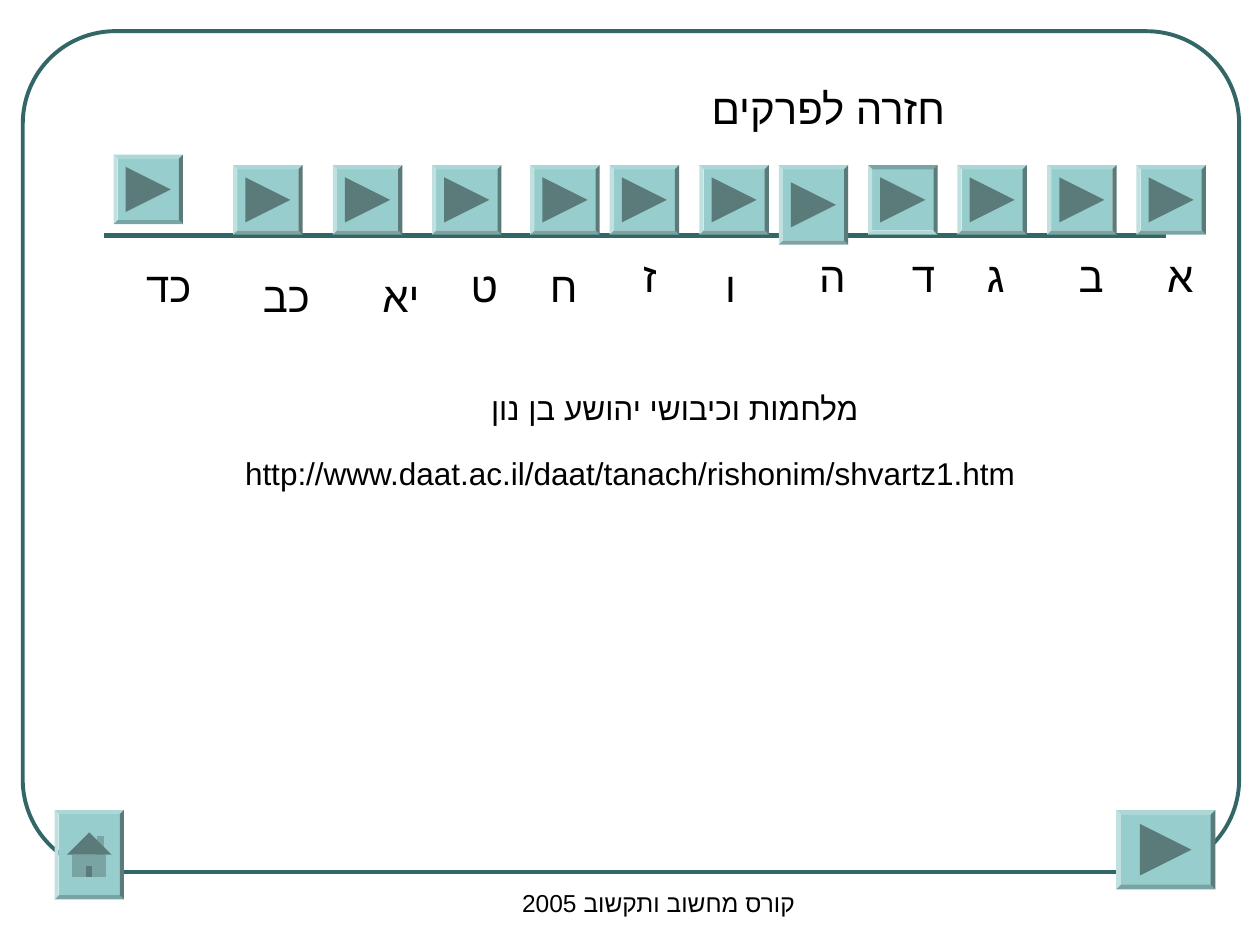
from lxml import etree
from pptx import Presentation
from pptx.dml.color import RGBColor
from pptx.enum.shapes import MSO_CONNECTOR, MSO_SHAPE
from pptx.enum.text import MSO_ANCHOR, PP_ALIGN
from pptx.oxml.ns import qn
from pptx.util import Cm, Pt

ROUNDED, BEVEL = MSO_SHAPE.ROUNDED_RECTANGLE, MSO_SHAPE.BEVEL
STRAIGHT = MSO_CONNECTOR.STRAIGHT
LEFT, CENTER, RIGHT = PP_ALIGN.LEFT, PP_ALIGN.CENTER, PP_ALIGN.RIGHT
TOP, MIDDLE = MSO_ANCHOR.TOP, MSO_ANCHOR.MIDDLE

TEAL = RGBColor(0x33, 0x66, 0x66)
BUTTON = RGBColor(0x97, 0xCD, 0xCC)
ICON_MID = RGBColor(0x79, 0xA4, 0xA3)
ICON_DARK = RGBColor(0x5B, 0x7B, 0x7A)
BLACK = RGBColor(0, 0, 0)

BUTTON_SIZE = 1.4
BUTTON_TOP = 3.33
LABEL_WIDTH = 2
# Chapter, left of its button, right of its label, top of its label (cm)
CHAPTERS = [
    ("א", 22.91, 24.31, 4.93),
    ("ב", 21.11, 22.5, 4.93),
    ("ג", 19.3, 20.5, 4.93),
    ("ד", 17.5, 19.1, 4.93),
    ("ה", 15.7, 17.3, 4.93),
    ("ו", 14.1, 15.09, 5.13),
    ("ז", 12.29, 13.49, 4.93),
    ("ח", 10.69, 11.89, 5.13),
    ("ט", 8.71, 10.29, 5.13),
    ("יא", 6.71, 8.71, 5.33),
    ("כב", 4.7, 6.5, 5.33),
    ("כד", 2.29, 4.11, 5.13),
]
# Buttons that differ from the rest of the row
BUTTON_TOPS = {"כד": 3.12}
BUTTON_HEIGHTS = {"ה": 1.6}
FLIPPED = {"ד"}


def add_text(slide, text, left, top, width, height, size=24, align=RIGHT,
             anchor=TOP, wrap=True, rtl=True):
    box = slide.shapes.add_textbox(Cm(left), Cm(top), Cm(width), Cm(height))
    frame = box.text_frame
    frame.word_wrap = wrap
    frame.vertical_anchor = anchor
    paragraph = frame.paragraphs[0]
    paragraph.alignment = align
    if rtl:
        paragraph._p.get_or_add_pPr().set("rtl", "1")
    run = paragraph.add_run()
    run.text = text
    run.font.size = Pt(size)
    run.font.name = "Arial"
    run.font.color.rgb = BLACK
    complex_font = etree.SubElement(run._r.get_or_add_rPr(), qn("a:cs"))
    complex_font.set("typeface", "Arial")


def add_polygon(slide, points, color):
    corners = [(Cm(x), Cm(y)) for x, y in points]
    builder = slide.shapes.build_freeform(*corners[0])
    builder.add_line_segments(corners[1:], close=True)
    polygon = builder.convert_to_shape()
    polygon.shadow.inherit = False
    polygon.fill.solid()
    polygon.fill.fore_color.rgb = color
    polygon.line.fill.background()


def add_block(slide, left, top, right, bottom, color):
    add_polygon(slide, [(left, top), (right, top), (right, bottom),
                        (left, bottom)], color)


def add_button(slide, left, top, width, height, flipped=False):
    button = slide.shapes.add_shape(BEVEL, Cm(left), Cm(top),
                                    Cm(width), Cm(height))
    button.adjustments[0] = 0.06
    button.shadow.inherit = False
    button.fill.solid()
    button.fill.fore_color.rgb = BUTTON
    button.line.fill.background()
    if flipped:
        button._element.spPr.xfrm.set("flipV", "1")


def add_next_button(slide, left, top, width, height, flipped=False):
    add_button(slide, left, top, width, height, flipped)
    side = 0.65 * min(width, height)
    x = left + (width - side) / 2
    middle = top + height / 2
    add_polygon(slide, [(x, middle - side / 2), (x + side, middle),
                        (x, middle + side / 2)], ICON_DARK)


def add_home_button(slide, left, top, width, height):
    add_button(slide, left, top, width, height)
    x, y = left + width / 2, top + height / 2
    add_block(slide, x + 0.15, y - 0.38, x + 0.29, y, ICON_MID)  # chimney
    add_block(slide, x - 0.34, y, x + 0.34, y + 0.45, ICON_MID)  # walls
    add_block(slide, x - 0.06, y + 0.22, x + 0.06, y + 0.45, ICON_DARK)  # door
    add_polygon(slide, [(x, y - 0.45), (x + 0.45, y), (x - 0.45, y)],
                ICON_DARK)  # roof


def add_frame(slide):
    frame = slide.shapes.add_shape(ROUNDED, Cm(0.46), Cm(0.63),
                                   Cm(24.52), Cm(16.95))
    frame.adjustments[0] = 0.11
    frame.shadow.inherit = False
    frame.fill.background()
    frame.line.color.rgb = TEAL
    frame.line.width = Pt(2.25)


def add_rule(slide, left, right, y):
    rule = slide.shapes.add_connector(STRAIGHT, Cm(left), Cm(y),
                                      Cm(right), Cm(y))
    rule.line.color.rgb = TEAL
    rule.line.width = Pt(3)
    etree.SubElement(rule._element.spPr, qn("a:effectLst"))


def add_chapters(slide):
    for letter, left, label_right, label_top in CHAPTERS:
        add_next_button(slide, left, BUTTON_TOPS.get(letter, BUTTON_TOP),
                        BUTTON_SIZE, BUTTON_HEIGHTS.get(letter, BUTTON_SIZE),
                        letter in FLIPPED)
        add_text(slide, letter, label_right - LABEL_WIDTH, label_top,
                 LABEL_WIDTH, 1.27)


def main():
    deck = Presentation()
    deck.slide_width, deck.slide_height = Cm(25.4), Cm(19.05)
    slide = deck.slides.add_slide(deck.slide_layouts[6])

    # Background frame and rule
    add_frame(slide)
    add_rule(slide, 2.1, 23.5, 4.75)

    # Title and chapter navigation
    add_text(slide, "חזרה לפרקים", 6.7, 1.53, 12.6, 1.27)
    add_chapters(slide)

    # Source on the wars of Joshua
    add_text(slide, "מלחמות וכיבושי יהושע בן נון", 9.65, 7.72, 8.13, 1.02,
             size=18, align=LEFT, anchor=MIDDLE, rtl=False)
    add_text(slide, "http://www.daat.ac.il/daat/tanach/rishonim/shvartz1.htm",
             4.67, 9.02, 16.05, 1.78, size=18, wrap=False)

    # Bottom navigation and footer
    add_home_button(slide, 1.1, 16.33, 1.4, 1.8)
    add_next_button(slide, 22.5, 16.33, 2, 1.6)
    add_text(slide, "קורס מחשוב ותקשוב 2005", 9.25, 17.78, 8.05, 1.27,
             size=14, align=CENTER, rtl=False)

    deck.save("out.pptx")


if __name__ == "__main__":
    main()
